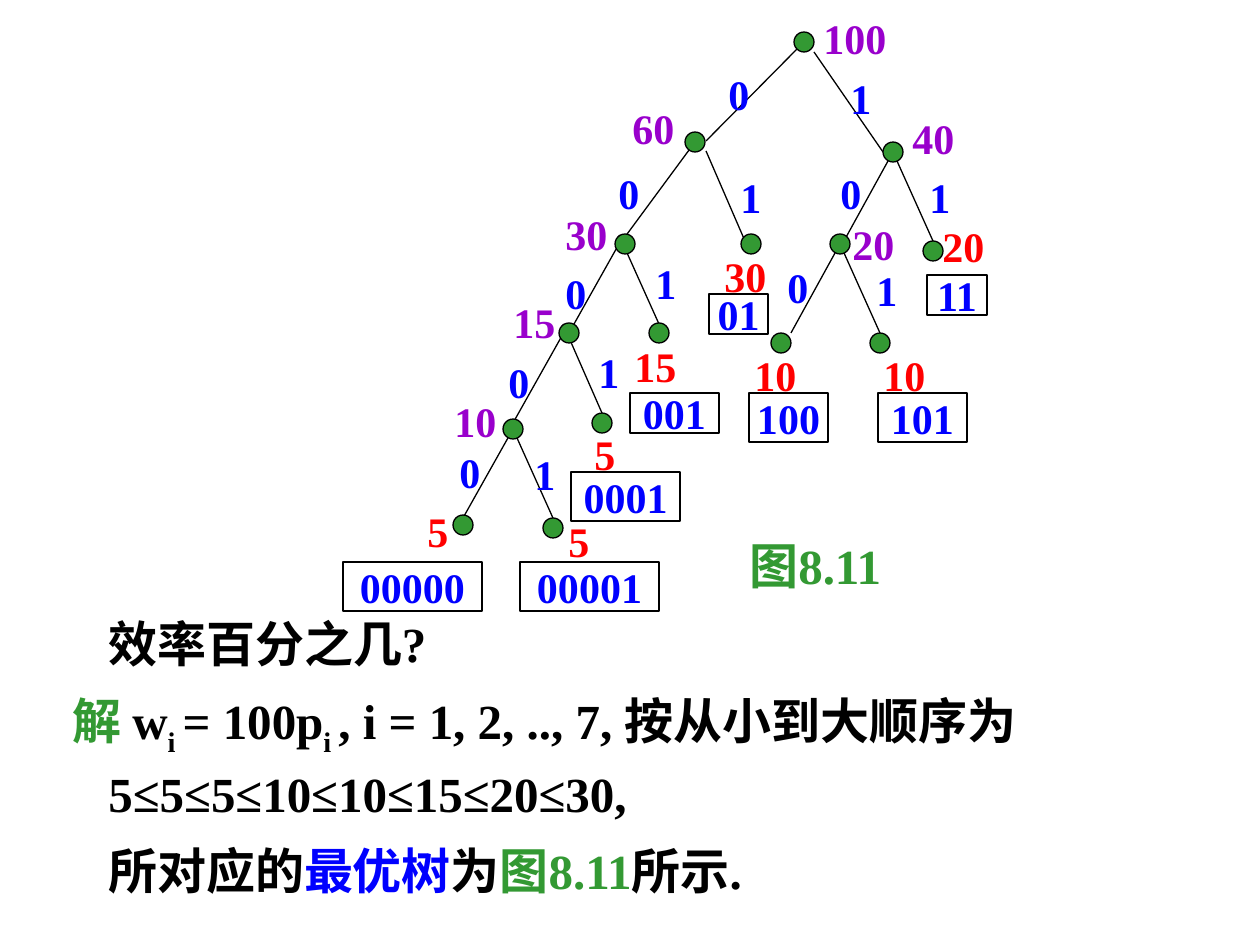
from lxml.etree import SubElement
from pptx import Presentation
from pptx.dml.color import RGBColor
from pptx.enum.shapes import MSO_CONNECTOR, MSO_SHAPE
from pptx.enum.text import MSO_ANCHOR, MSO_AUTO_SIZE, PP_ALIGN
from pptx.oxml.ns import qn
from pptx.util import Pt

PX = 914400 / 126
FONT = "Times New Roman"
BLACK, BLUE, GREEN = "000000", "0000FF", "339933"
PURPLE, RED = "9900CC", "FF0000"
DIAMETER = 20

# weight, node centre, label corner
INNER = [
    ("100", (804, 42), (811, 6)),
    ("60", (695, 142), (620, 96)),
    ("40", (893, 152), (900, 106)),
    ("30", (625, 244), (553, 202)),
    ("20", (840, 244), (840, 212)),
    ("15", (569, 333), (501, 290)),
    ("10", (513, 429), (442, 389)),
]
# weight, node centre, label corner, code word, code box
LEAVES = [
    ("5", (463, 525), (415, 499), "00000", (343, 562, 139, 49)),
    ("5", (553, 528), (556, 509), "00001", (520, 562, 139, 49)),
    ("5", (602, 423), (582, 422), "0001", (571, 472, 109, 49)),
    ("15", (659, 333), (622, 334), "001", (630, 393, 89, 40)),
    ("10", (880, 343), (871, 343), "101", (878, 393, 89, 49)),
    ("30", (751, 244), (712, 244), "01", (709, 294, 59, 40)),
    ("10", (781, 343), (742, 343), "100", (749, 393, 79, 49)),
    ("20", (933, 251), (930, 214), "11", (927, 275, 60, 40)),
]
# bit, start, end, label corner
EDGES = [
    ("0", (804, 42), (706, 141), (716, 62)),
    ("1", (814, 52), (883, 152), (838, 66)),
    ("0", (695, 142), (622, 241), (606, 161)),
    ("1", (706, 151), (745, 241), (728, 165)),
    ("0", (893, 152), (844, 241), (828, 161)),
    ("1", (893, 152), (933, 241), (917, 165)),
    ("0", (619, 244), (569, 333), (553, 261)),
    ("1", (619, 235), (659, 324), (643, 251)),
    ("0", (840, 244), (791, 333), (775, 255)),
    ("1", (840, 244), (880, 333), (864, 258)),
    ("0", (563, 334), (513, 423), (496, 350)),
    ("1", (563, 324), (602, 413), (586, 340)),
    ("0", (513, 429), (463, 518), (447, 440)),
    ("1", (513, 429), (553, 518), (522, 442)),
]
CAPTION = ("图8.11", (737, 529, 171, 72))
BODY_BOX = (49, 601, 1177, 324)
BODY_MARGIN = 47
# first-line indent, runs of (text, colour, is subscript)
BODY = [
    (0, [("效率百分之几?", BLACK, False)]),
    (-36, [
        ("解 ", GREEN, False),
        ("w", BLACK, False),
        ("i ", BLACK, True),
        ("= 100p", BLACK, False),
        ("i ", BLACK, True),
        (", i = 1, 2, .., 7, 按从小到大顺序为5≤5≤5≤10≤10≤15≤20≤30,", BLACK, False),
    ]),
    (0, [
        ("所对应的", BLACK, False),
        ("最优树", BLUE, False),
        ("为", BLACK, False),
        ("图8.11", GREEN, False),
        ("所示.", BLACK, False),
    ]),
]


def px(*values):
    return [round(v * PX) for v in values]


def rgb(color):
    return RGBColor.from_string(color)


def style(p, size, color=None):
    p.font.name, p.font.size, p.font.bold = FONT, Pt(size), True
    if color:
        p.font.color.rgb = rgb(color)


def outline(line):
    line.color.rgb = rgb(BLACK)
    line.width = Pt(0.75)


def add_text(text, box, color, size=24):
    tf = slide.shapes.add_textbox(*px(*box)).text_frame
    tf.word_wrap = False
    tf.auto_size = MSO_AUTO_SIZE.SHAPE_TO_FIT_TEXT
    tf.text = text
    style(tf.paragraphs[0], size, color)


def add_label(text, corner, color):
    add_text(text, (*corner, 26 + 21 * len(text), 63), color)


def add_edge(start, end):
    line = slide.shapes.add_connector(MSO_CONNECTOR.STRAIGHT, *px(*start, *end))
    outline(line.line)
    SubElement(line._element.spPr, qn("a:effectLst"))


def add_outlined(kind, box):
    sp = slide.shapes.add_shape(kind, *px(*box))
    sp.shadow.inherit = False
    outline(sp.line)
    return sp


def add_node(center):
    x, y = center
    r = DIAMETER / 2
    sp = add_outlined(MSO_SHAPE.OVAL, (x - r, y - r, DIAMETER, DIAMETER))
    sp.fill.solid()
    sp.fill.fore_color.rgb = rgb(GREEN)


def add_code(text, box):
    sp = add_outlined(MSO_SHAPE.RECTANGLE, box)
    sp.fill.background()
    tf = sp.text_frame
    tf.word_wrap = False
    tf.vertical_anchor = MSO_ANCHOR.MIDDLE
    tf.text = text
    tf.paragraphs[0].alignment = PP_ALIGN.CENTER
    style(tf.paragraphs[0], 24, BLUE)


def add_body():
    tf = slide.shapes.add_textbox(*px(*BODY_BOX)).text_frame
    tf.word_wrap = True
    for i, (indent, runs) in enumerate(BODY):
        p = tf.add_paragraph() if i else tf.paragraphs[0]
        pPr = p._p.get_or_add_pPr()
        for name, value in zip(("marL", "indent"), px(BODY_MARGIN, indent)):
            pPr.set(name, str(value))
        p.line_spacing = 1.1
        p.space_before = Pt(7 if i else 0)
        style(p, 28)
        for text, color, subscript in runs:
            r = p.add_run()
            r.text = text
            r.font.color.rgb = rgb(color)
            if subscript:
                r.font._element.set("baseline", "-25000")


prs = Presentation()
prs.slide_width, prs.slide_height = px(1260, 945)
slide = prs.slides.add_slide(prs.slide_layouts[6])

add_body()
for bit, start, end, corner in EDGES:
    add_edge(start, end)
for _, center, *_ in INNER + LEAVES:
    add_node(center)
for bit, start, end, corner in EDGES:
    add_label(bit, corner, BLUE)
for weight, center, corner in INNER:
    add_label(weight, corner, PURPLE)
for weight, center, corner, code, box in LEAVES:
    add_label(weight, corner, RED)
    add_code(code, box)
add_text(*CAPTION, GREEN, 28)

prs.save("out.pptx")
